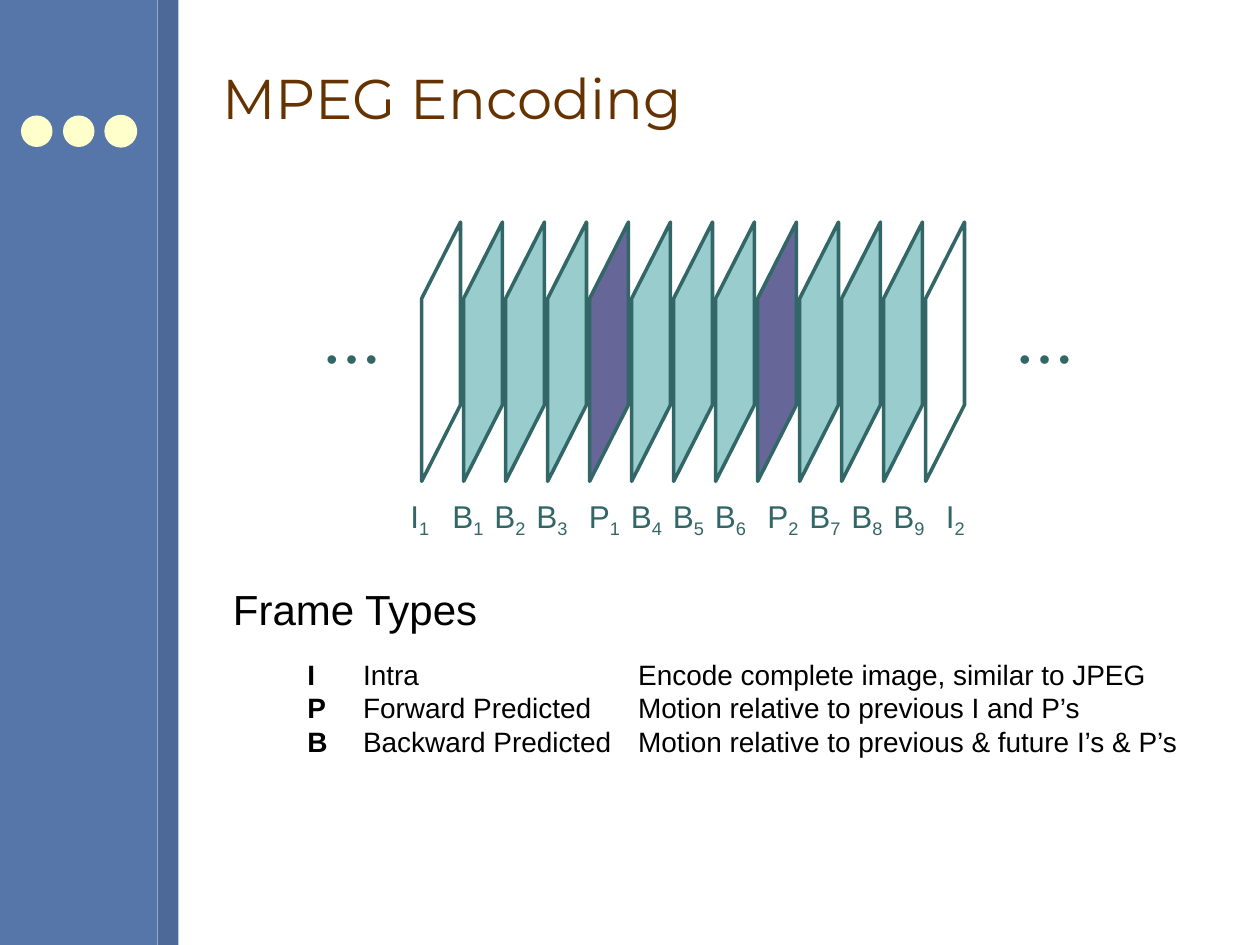
"""Build the MPEG Encoding slide with its frame sequence and frame type list."""
import pptx
import pptx.dml.color
import pptx.enum.shapes
import pptx.enum.text
import pptx.util

COLORS = {
    "rail": "5675A9", "rail_edge": "4D6997", "dot": "FFFFCC", "title": "663300",
    "text": "000000", "outline": "336666", "I": "FFFFFF", "B": "99CCCC", "P": "666699",
}
FRAMES = ["I1", "B1", "B2", "B3", "P1", "B4", "B5", "B6", "P2", "B7", "B8", "B9", "I2"]
FRAME_TYPES = [
    ("I", "Intra", "Encode complete image, similar to JPEG"),
    ("P", "Forward Predicted", "Motion relative to previous I and P’s"),
    ("B", "Backward Predicted", "Motion relative to previous & future I’s & P’s"),
]
TYPE_COLUMNS = [(28.1, 5.3, True), (33.4, 27, False), (59.6, 56, False)]
PITCH = 4
SHAPES = pptx.enum.shapes.MSO_SHAPE


class SlideBuilder:
    COLUMNS, ROWS = 120, 90

    def __init__(self, presentation):
        self.column = presentation.slide_width / self.COLUMNS
        self.row = presentation.slide_height / self.ROWS
        self.slide = presentation.slides.add_slide(presentation.slide_layouts[6])

    def box(self, left, top, width, height):
        return (round(left * self.column), round(top * self.row),
                round(width * self.column), round(height * self.row))

    def color(self, name):
        return pptx.dml.color.RGBColor.from_string(COLORS[name])

    def shape(self, kind, area, fill, line=None, line_width=0.75):
        shape = self.slide.shapes.add_shape(kind, *self.box(*area))
        shape.shadow.inherit = False
        shape.fill.solid()
        shape.fill.fore_color.rgb = self.color(fill)
        if line:
            shape.line.color.rgb = self.color(line)
            shape.line.width = pptx.util.Pt(line_width)
        else:
            shape.line.fill.background()
        return shape

    def frame(self, center, middle, kind):
        length, depth = 24.7, 3.7
        area = (center - length / 2, middle - depth / 2, length, depth)
        shape = self.shape(SHAPES.PARALLELOGRAM, area, kind, "outline", 2)
        shape.adjustments[0] = 1.97
        shape.rotation = 270
        shape._element.spPr.xfrm.set("flipH", "1")

    def text_frame(self, area, wrap=False):
        text_frame = self.slide.shapes.add_textbox(*self.box(*area)).text_frame
        text_frame.word_wrap = wrap
        if not wrap:
            text_frame.auto_size = pptx.enum.text.MSO_AUTO_SIZE.SHAPE_TO_FIT_TEXT
        return text_frame

    def style(self, paragraph, size, color, font="Arial", bold=False):
        for run in paragraph.runs:
            run.font.size = pptx.util.Pt(size)
            run.font.name = font
            run.font.bold = bold
            run.font.color.rgb = self.color(color)

    def text(self, text, area, size, color, font="Arial", wrap=False, bold=False):
        text_frame = self.text_frame(area, wrap)
        text_frame.text = text
        for paragraph in text_frame.paragraphs:
            self.style(paragraph, size, color, font, bold)
        return text_frame

    def label(self, name, left, top):
        width = 4.2 if name[0] == "I" else 5.4
        paragraph = self.text_frame((left, top, width, 5.3)).paragraphs[0]
        for part in name:
            paragraph.add_run().text = part
        self.style(paragraph, 18, "outline")
        paragraph.runs[1].font._element.set("baseline", "-25000")

    def type_list(self, entries, top, height):
        for (left, width, bold), lines in zip(TYPE_COLUMNS, zip(*entries)):
            self.text("\n".join(lines), (left, top, width, height), 16, "text",
                      wrap=True, bold=bold)


def main():
    presentation = pptx.Presentation()
    presentation.slide_width = pptx.util.Inches(10)
    presentation.slide_height = pptx.util.Inches(7.5)
    builder = SlideBuilder(presentation)

    builder.shape(SHAPES.RECTANGLE, (0, 0, 15, 90), "rail")
    builder.shape(SHAPES.RECTANGLE, (15, 0, 2, 90), "rail_edge")
    for left, line in ((2, None), (6, None), (10, "dot")):
        builder.shape(SHAPES.OVAL, (left, 11, 3, 3), "dot", line)

    title = builder.text("MPEG Encoding", (20, 2.5, 96, 13.5), 32, "title", "Montserrat", True)
    title.vertical_anchor = pptx.enum.text.MSO_ANCHOR.MIDDLE
    builder.text("Frame Types", (21, 55, 26, 6), 24, "text", wrap=True)

    for index, name in enumerate(FRAMES):
        builder.frame(42 + index * PITCH, 33.5, name[0])
    for left in (29.9, 95.9):
        builder.text("• • •", (left, 31.7, 7.2, 4.8), 18, "outline")

    shift = 0
    for index, name in enumerate(FRAMES):
        if index and name[0] != "B":
            shift += 1
        builder.label(name, 37.9 + index * PITCH + shift, 46.7)
    builder.type_list(FRAME_TYPES, 62, 10.8)

    presentation.save("out.pptx")


if __name__ == "__main__":
    main()
